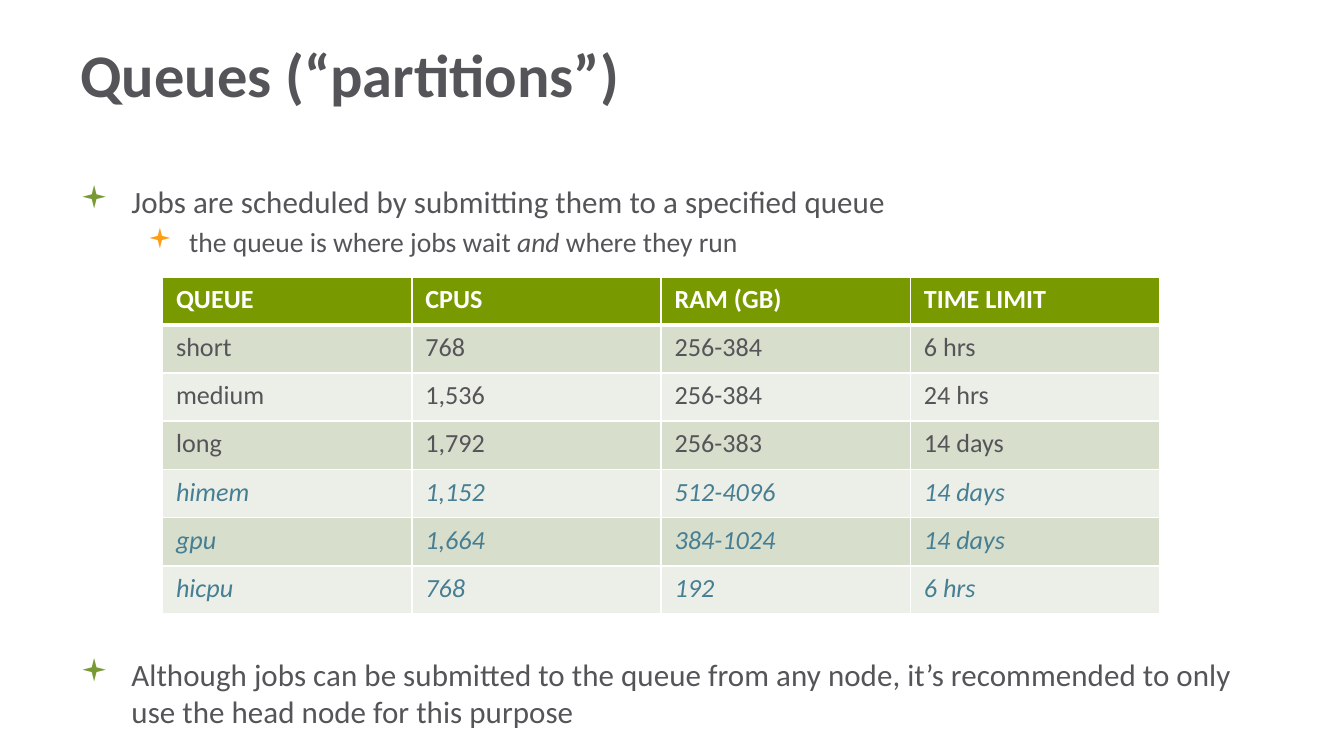
from lxml import etree
from pptx import Presentation
from pptx import util as u
from pptx.dml.color import RGBColor
from pptx.enum import text
from pptx.oxml.ns import qn

FONT = "Calibri"
BULLET_FONT = "Wingdings"
WHITE = RGBColor(0xFF, 0xFF, 0xFF)
GREY = RGBColor(0x55, 0x55, 0x59)
TEAL = RGBColor(0x46, 0x7E, 0x93)
HEADER_GREEN = RGBColor(0x79, 0x99, 0x00)
BULLET_GREEN = RGBColor(0x79, 0x99, 0x34)
BULLET_ORANGE = RGBColor(0xFF, 0x9E, 0x15)
BANDS = (RGBColor(0xD7, 0xDE, 0xCC), RGBColor(0xEC, 0xEF, 0xE7))

# Per level: text size, left margin, hanging indent, bullet colour
LEVELS = ((16.65, 0.38, 0.38, BULLET_GREEN), (14.8, 0.81, 0.31, BULLET_ORANGE))

QUEUES = (
    ("QUEUE", "CPUS", "RAM (GB)", "TIME LIMIT"),
    ("short", "768", "256-384", "6 hrs"),
    ("medium", "1,536", "256-384", "24 hrs"),
    ("long", "1,792", "256-383", "14 days"),
    ("himem", "1,152", "512-4096", "14 days"),
    ("gpu", "1,664", "384-1024", "14 days"),
    ("hicpu", "768", "192", "6 hrs"),
)
FIRST_SPECIAL_ROW = 4


def format_span(span, size, color, bold=False, italic=False):
    span.font.name = FONT
    span.font.size = u.Pt(size)
    span.font.color.rgb = color
    span.font.bold = bold
    span.font.italic = italic


def add_text_frame(page, box):
    frame = page.shapes.add_textbox(*map(u.Inches, box)).text_frame
    frame.word_wrap = True
    return frame


def add_title(page, box, title):
    frame = add_text_frame(page, box)
    frame.vertical_anchor = text.MSO_ANCHOR.MIDDLE
    frame.text = title
    format_span(frame.paragraphs[0].runs[0], 32.4, GREY, bold=True)


def set_bullet(para, margin, hanging, color):
    props = para._p.get_or_add_pPr()
    props.set("marL", str(u.Inches(margin)))
    props.set("indent", str(-u.Inches(hanging)))
    bullet_color = etree.SubElement(props, qn("a:buClr"))
    etree.SubElement(bullet_color, qn("a:srgbClr"), val=str(color))
    etree.SubElement(props, qn("a:buFont"), typeface=BULLET_FONT)
    etree.SubElement(props, qn("a:buChar"), char="▪")


def add_bullets(page, box, items):
    """Each item is a level and its pieces of text; every second piece is italic."""
    frame = add_text_frame(page, box)
    for index, (level, pieces) in enumerate(items):
        para = frame.add_paragraph() if index else frame.paragraphs[0]
        size, margin, hanging, color = LEVELS[level]
        para.level = level
        para.space_before = u.Pt(size * 0.2 if index else 0)
        set_bullet(para, margin, hanging, color)
        for number, piece in enumerate(pieces):
            span = para.add_run()
            span.text = piece
            format_span(span, size, GREY, italic=number % 2 == 1)


def set_borders(cell, widths):
    props = cell._tc.get_or_add_tcPr()
    for side, width in zip("LRTB", widths):
        line = etree.SubElement(props, qn(f"a:ln{side}"), w=str(u.Pt(width)))
        fill = etree.SubElement(line, qn("a:solidFill"))
        etree.SubElement(fill, qn("a:srgbClr"), val=str(WHITE))


def add_queue_table(page, box, rows):
    table = page.shapes.add_table(len(rows), len(rows[0]), *map(u.Inches, box)).table
    for row, values in enumerate(rows):
        header, special = row == 0, row >= FIRST_SPECIAL_ROW
        color = WHITE if header else TEAL if special else GREY
        for column, value in enumerate(values):
            cell = table.cell(row, column)
            # A thicker rule parts the header from the body
            set_borders(cell, (1, 1, 3 if row == 1 else 1, 3 if header else 1))
            cell.fill.solid()
            cell.fill.fore_color.rgb = HEADER_GREEN if header else BANDS[(row - 1) % 2]
            cell.text = value
            format_span(cell.text_frame.paragraphs[0].runs[0], 14, color, header, special)


def build_queue_slide(deck):
    page = deck.slides.add_slide(deck.slide_layouts[6])
    add_title(page, (0.5, 0.24, 8.06, 0.61), "Queues (“partitions”)")
    # Points above the table
    add_bullets(page, (0.5, 1.31, 9, 0.7), (
        (0, ("Jobs are scheduled by submitting them to a specified queue",)),
        (1, ("the queue is where jobs wait ", "and", " where they run")),
    ))
    add_queue_table(page, (1.21, 2.06, 7.42, 2.51), QUEUES)
    # Point below the table
    add_bullets(page, (0.5, 4.83, 9, 0.7), (
        (0, ("Although jobs can be submitted to the queue from any node, "
             "it’s recommended to only use the head node for this purpose",)),
    ))


def main():
    deck = Presentation()
    # Widescreen, 16:9
    deck.slide_width = u.Inches(10)
    deck.slide_height = deck.slide_width * 9 // 16
    build_queue_slide(deck)
    deck.save("out.pptx")


if __name__ == "__main__":
    main()
